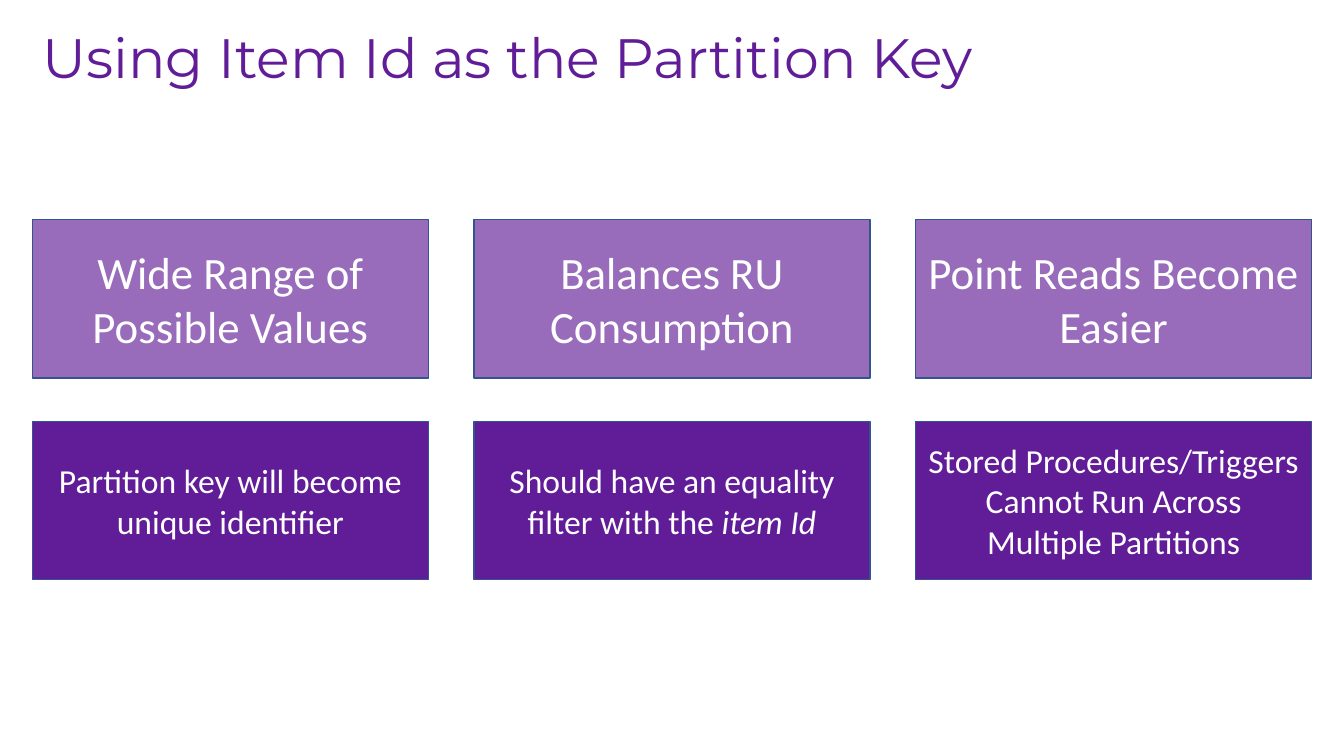
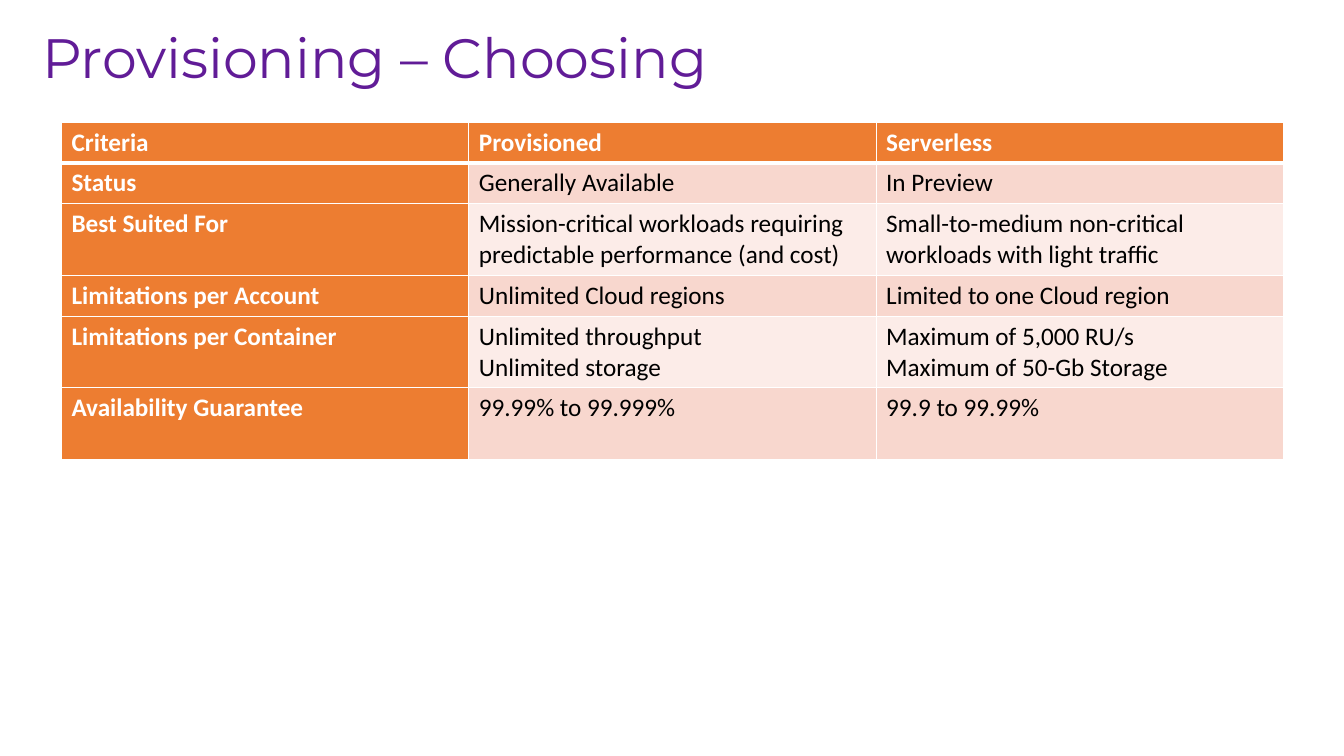
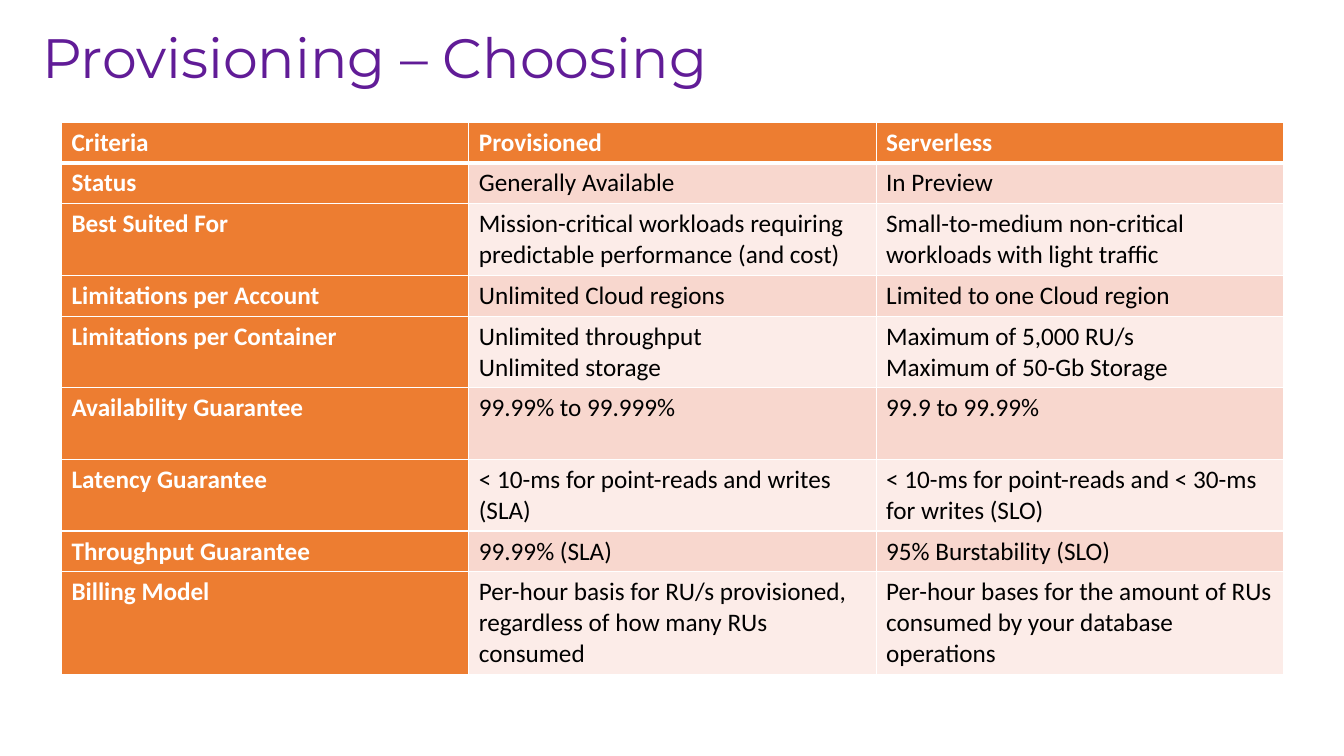
"""Build three slides on partition keys and on choosing a provisioning model."""
import dataclasses

import lxml.etree
import pptx
import pptx.dml.color
import pptx.enum.shapes
import pptx.enum.text
import pptx.oxml.ns
import pptx.util

Inches = pptx.util.Inches
Pt = pptx.util.Pt


@dataclasses.dataclass(frozen=True)
class Theme:
    """Colours, fonts and type sizes shared by all slides."""
    purple: str = "611C97"
    outline: str = "325491"
    orange: str = "ED7D31"
    bands: tuple = ("F8D7CE", "FCECE8")
    white: str = "FFFFFF"
    black: str = "000000"
    title_font: str = "Montserrat"
    body_font: str = "Calibri"
    title_size: float = 39.6
    heading_size: int = 32
    detail_size: int = 24
    table_size: int = 18


THEME = Theme()
ROW_HEIGHTS = {1: 0.4, 2: 0.71, 3: 1.01}

BENEFITS = [
    ("Wide Range of Possible Values",
     [("Partition key will become unique identifier", False)]),
    ("Balances RU Consumption",
     [("Should have an equality filter with the ", False), ("item Id", True)]),
    ("Point Reads Become Easier",
     [("Stored Procedures/Triggers Cannot Run Across Multiple Partitions", False)]),
]

HEADER = (1, "Criteria", "Provisioned", "Serverless")
BASIC_CRITERIA = [
    (1, "Status", "Generally Available", "In Preview"),
    (2, "Best Suited For",
     "Mission-critical workloads requiring predictable performance (and cost)",
     "Small-to-medium non-critical workloads with light traffic"),
    (1, "Limitations per Account", "Unlimited Cloud regions", "Limited to one Cloud region"),
    (2, "Limitations per Container", "Unlimited throughput\nUnlimited storage",
     "Maximum of 5,000 RU/s\nMaximum of 50-Gb Storage"),
    (2, "Availability Guarantee", "99.99% to 99.999%", "99.9 to 99.99%"),
]
SERVICE_CRITERIA = [
    (2, "Latency Guarantee", "< 10-ms for point-reads and writes (SLA)",
     "< 10-ms for point-reads and < 30-ms for writes (SLO)"),
    (1, "Throughput Guarantee", "99.99% (SLA)", "95% Burstability (SLO)"),
    (3, "Billing Model",
     "Per-hour basis for RU/s provisioned, regardless of how many RUs consumed",
     "Per-hour bases for the amount of RUs consumed by your database operations"),
]


def rgb(colour):
    """Turn a hex string into a colour."""
    return pptx.dml.color.RGBColor.from_string(colour)


def set_font(para, name, size, colour, bold=False):
    """Format the font of a whole paragraph."""
    para.font.name = name
    para.font.size = Pt(size)
    para.font.bold = bold
    para.font.color.rgb = rgb(colour)


def place_title(layout):
    """Set the title position and frame once, on the layout."""
    title = layout.placeholders[0]
    title.left, title.top = Inches(0.32), Inches(0.23)
    title.width, title.height = Inches(12.66), Inches(0.74)
    title.text_frame.vertical_anchor = pptx.enum.text.MSO_ANCHOR.MIDDLE
    title.text_frame.auto_size = pptx.enum.text.MSO_AUTO_SIZE.NONE


def add_titled_slide(deck, layout, text):
    """Add a slide with a formatted title."""
    slide = deck.slides.add_slide(layout)
    slide.shapes.title.text = text
    para = slide.shapes.title.text_frame.paragraphs[0]
    para.alignment = pptx.enum.text.PP_ALIGN.LEFT
    para.line_spacing = 0.9
    set_font(para, THEME.title_font, THEME.title_size, THEME.purple)
    return slide


def add_box(slide, left, top, runs, size, opacity=100):
    """Add a purple box with centred text made of (text, italic) runs."""
    box = slide.shapes.add_shape(
        pptx.enum.shapes.MSO_SHAPE.RECTANGLE,
        Inches(left), Inches(top), Inches(3.93), Inches(1.57))
    box.shadow.inherit = False
    box.fill.solid()
    box.fill.fore_color.rgb = rgb(THEME.purple)
    if opacity < 100:
        colour = box.element.spPr.find(".//" + pptx.oxml.ns.qn("a:srgbClr"))
        lxml.etree.SubElement(colour, pptx.oxml.ns.qn("a:alpha"), val=str(opacity * 1000))
    box.line.color.rgb = rgb(THEME.outline)
    box.line.width = Pt(1)
    box.text_frame.word_wrap = True
    box.text_frame.vertical_anchor = pptx.enum.text.MSO_ANCHOR.MIDDLE
    para = box.text_frame.paragraphs[0]
    para.alignment = pptx.enum.text.PP_ALIGN.CENTER
    set_font(para, THEME.body_font, size, THEME.white)
    for text, italic in runs:
        span = para.add_run()
        span.text = text
        if italic:
            span.font.italic = True


def set_borders(cell, top, bottom):
    """Draw white borders around a cell, with the given top and bottom widths."""
    properties = cell._tc.get_or_add_tcPr()
    for side, width in (("L", 1), ("R", 1), ("T", top), ("B", bottom)):
        line = lxml.etree.SubElement(
            properties, pptx.oxml.ns.qn(f"a:ln{side}"), w=str(Pt(width)))
        fill = lxml.etree.SubElement(line, pptx.oxml.ns.qn("a:solidFill"))
        lxml.etree.SubElement(fill, pptx.oxml.ns.qn("a:srgbClr"), val=THEME.white)


def format_cell(cell, text, row, column):
    """Fill a cell and style it as a header, criterion or banded value."""
    is_heading = row == 0 or column == 0
    set_borders(cell, top=3 if row == 1 else 1, bottom=3 if row == 0 else 1)
    cell.fill.solid()
    cell.fill.fore_color.rgb = rgb(THEME.orange if is_heading else THEME.bands[(row - 1) % 2])
    cell.text = text
    for para in cell.text_frame.paragraphs:
        set_font(para, THEME.body_font, THEME.table_size,
                 THEME.white if is_heading else THEME.black, is_heading)


def add_criteria_table(slide, criteria):
    """Add the comparison table; each row starts with its height in lines."""
    rows = [HEADER, *criteria]
    heights = [Inches(ROW_HEIGHTS[row[0]]) for row in rows]
    table = slide.shapes.add_table(
        len(rows), 3, Inches(0.61), Inches(1.21), Inches(12.12), sum(heights)).table
    table.first_col = True
    for row, (_, *texts) in enumerate(rows):
        table.rows[row].height = heights[row]
        for column, text in enumerate(texts):
            format_cell(table.cell(row, column), text, row, column)


def main():
    """Build and save the deck."""
    deck = pptx.Presentation()
    deck.slide_width, deck.slide_height = Inches(13.33), Inches(7.5)
    layout = deck.slide_layouts.get_by_name("Title Only")
    place_title(layout)

    slide = add_titled_slide(deck, layout, "Using Item Id as the Partition Key")
    for column, (heading, detail) in enumerate(BENEFITS):
        left = 0.32 + 4.38 * column
        add_box(slide, left, 2.18, [(heading, False)], THEME.heading_size, opacity=65)
        add_box(slide, left, 4.18, detail, THEME.detail_size)

    for criteria in (BASIC_CRITERIA, BASIC_CRITERIA + SERVICE_CRITERIA):
        slide = add_titled_slide(deck, layout, "Provisioning – Choosing")
        add_criteria_table(slide, criteria)

    deck.save("out.pptx")


if __name__ == "__main__":
    main()
